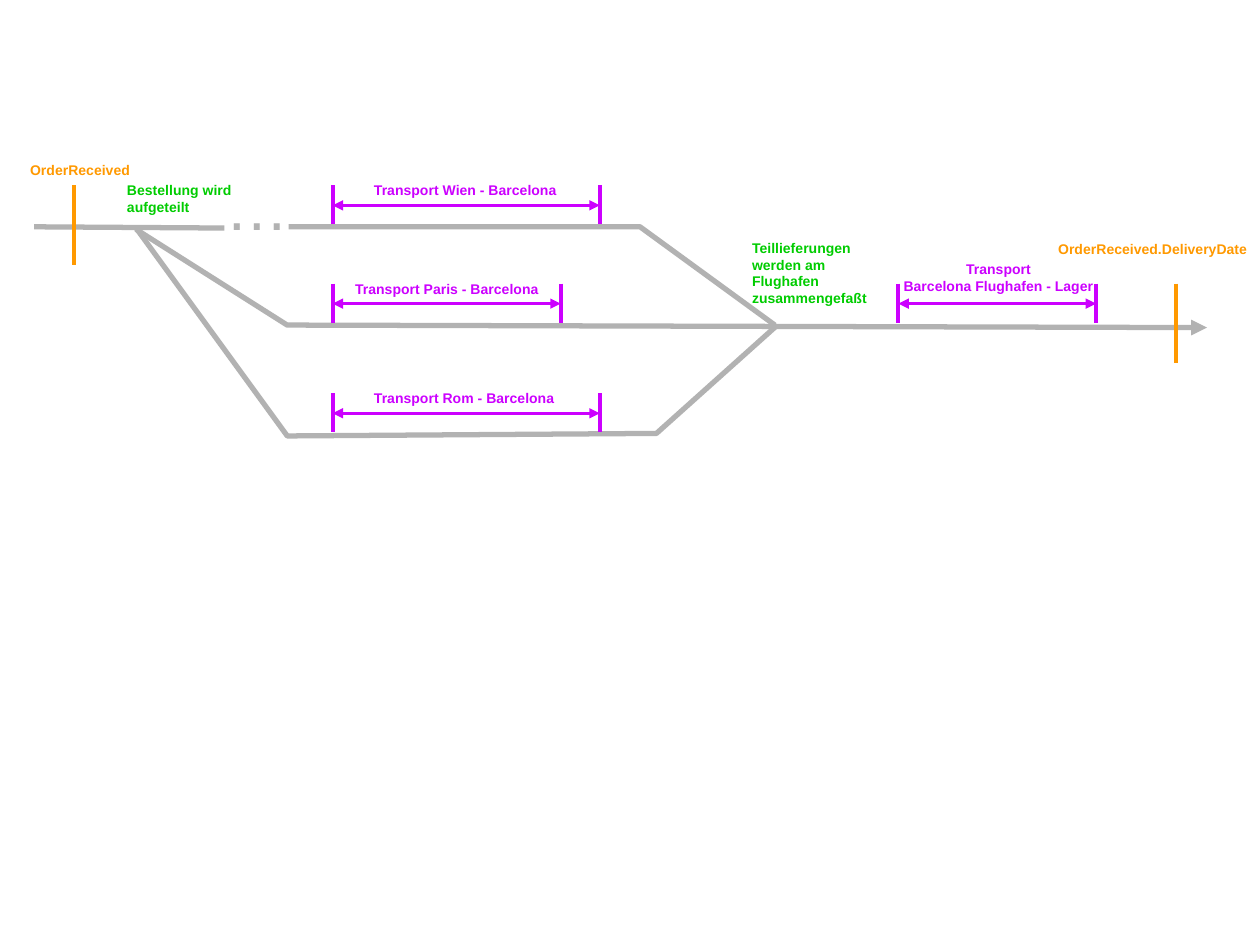
from dataclasses import dataclass

from lxml.etree import SubElement
from pptx import Presentation
from pptx.dml.color import RGBColor
from pptx.enum.shapes import MSO_CONNECTOR
from pptx.enum.text import MSO_AUTO_SIZE, PP_ALIGN
from pptx.oxml.ns import qn
from pptx.util import Inches, Pt

GREY = RGBColor(0xB2, 0xB2, 0xB2)
ORANGE = RGBColor(0xFF, 0x99, 0x00)
GREEN = RGBColor(0x00, 0xCC, 0x00)
PURPLE = RGBColor(0xCC, 0x00, 0xFF)

TICK_HEIGHT = 0.31
ARROW_DROP = 0.16
EVENT_HEIGHT = 0.63


@dataclass
class Track:
    points: list[tuple[float, float]]
    arrow: bool = False


@dataclass
class Label:
    text: str
    left: float
    top: float
    width: float
    height: float
    color: RGBColor
    size: float = 8
    bold: bool = True
    wrap: bool = False
    align: PP_ALIGN = PP_ALIGN.LEFT


@dataclass
class Span:
    left: float
    right: float
    top: float
    label: Label


@dataclass
class Event:
    x: float
    top: float
    label: Label


TRACKS = [
    Track([(2.29, 1.8), (5.08, 1.8), (6.15, 2.58)]),
    Track([(1.08, 1.82), (2.28, 2.58), (9.58, 2.6)], arrow=True),
    Track([(1.08, 1.81), (2.28, 3.46), (5.21, 3.44), (6.17, 2.58)]),
    Track([(0.27, 1.8), (1.78, 1.81)]),
]

SPANS = [
    Span(2.64, 4.76, 1.47,
         Label("Transport Wien - Barcelona", 2.87, 1.39, 1.66, 0.24, PURPLE)),
    Span(2.64, 4.45, 2.25,
         Label("Transport Paris - Barcelona", 2.72, 2.18, 1.66, 0.24, PURPLE)),
    Span(2.64, 4.76, 3.12,
         Label("Transport Rom - Barcelona", 2.87, 3.04, 1.64, 0.24, PURPLE)),
    Span(7.13, 8.7, 2.25,
         Label("Transport\nBarcelona Flughafen - Lager", 7.07, 2.02, 1.71, 0.37,
               PURPLE, align=PP_ALIGN.CENTER)),
]

EVENTS = [
    Event(0.59, 1.47, Label("OrderReceived", 0.14, 1.23, 1.02, 0.24, ORANGE)),
    Event(9.33, 2.25,
          Label("OrderReceived.DeliveryDate", 8.3, 1.86, 1.7, 0.24, ORANGE)),
]

NOTES = [
    Label("…", 1.69, 1.28, 0.7, 0.7, GREY, size=36, bold=False),
    Label("Bestellung wird\naufgeteilt", 0.91, 1.39, 1.03, 0.37, GREEN),
    Label("Teillieferungen werden am Flughafen\nzusammengefaßt",
          5.87, 1.85, 1.18, 0.64, GREEN, wrap=True),
]


def style_line(sp, color: RGBColor, width: float, ends: tuple[str, ...] = ()) -> None:
    sp.line.color.rgb = color
    sp.line.width = Pt(width)
    ln = sp.line._get_or_add_ln()
    for end in ends:
        SubElement(ln, qn(f"a:{end}"), type="triangle")


def draw_track(s, track: Track) -> None:
    points = [(Inches(x), Inches(y)) for x, y in track.points]
    builder = s.shapes.build_freeform(*points[0])
    builder.add_line_segments(points[1:], close=False)
    sp = builder.convert_to_shape()
    sp.shadow.inherit = False
    sp.fill.background()
    style_line(sp, GREY, 3, ("tailEnd",) if track.arrow else ())


def draw_line(s, x1: float, y1: float, x2: float, y2: float, color: RGBColor,
              width: float, ends: tuple[str, ...] = ()) -> None:
    sp = s.shapes.add_connector(MSO_CONNECTOR.STRAIGHT, Inches(x1), Inches(y1),
                                Inches(x2), Inches(y2))
    style_line(sp, color, width, ends)
    SubElement(sp._element.spPr, qn("a:effectLst"))


def draw_label(s, label: Label) -> None:
    sp = s.shapes.add_textbox(Inches(label.left), Inches(label.top),
                              Inches(label.width), Inches(label.height))
    tf = sp.text_frame
    tf.word_wrap = label.wrap
    tf.auto_size = MSO_AUTO_SIZE.SHAPE_TO_FIT_TEXT
    tf.text = label.text
    for p in tf.paragraphs:
        p.alignment = label.align
        for r in p.runs:
            r.font.name = "Arial"
            r.font.size = Pt(label.size)
            r.font.bold = label.bold
            r.font.color.rgb = label.color


def draw_span(s, span: Span) -> None:
    y = span.top + ARROW_DROP
    draw_line(s, span.left, y, span.right, y, PURPLE, 1.5, ("headEnd", "tailEnd"))
    for x in (span.left, span.right):
        draw_line(s, x, span.top, x, span.top + TICK_HEIGHT, PURPLE, 2.25)
    draw_label(s, span.label)


def draw_event(s, event: Event) -> None:
    draw_line(s, event.x, event.top, event.x, event.top + EVENT_HEIGHT, ORANGE, 2.25)
    draw_label(s, event.label)


def main() -> None:
    prs = Presentation()
    prs.slide_width, prs.slide_height = Inches(10), Inches(7.5)
    s = prs.slides.add_slide(prs.slide_layouts[6])

    # Delivery routes
    for track in TRACKS:
        draw_track(s, track)
    # Split and merge notes, with the dots in the first route
    for note in NOTES:
        draw_label(s, note)
    # Transport durations
    for span in SPANS:
        draw_span(s, span)
    # Order events
    for event in EVENTS:
        draw_event(s, event)

    prs.save("out.pptx")


if __name__ == "__main__":
    main()
